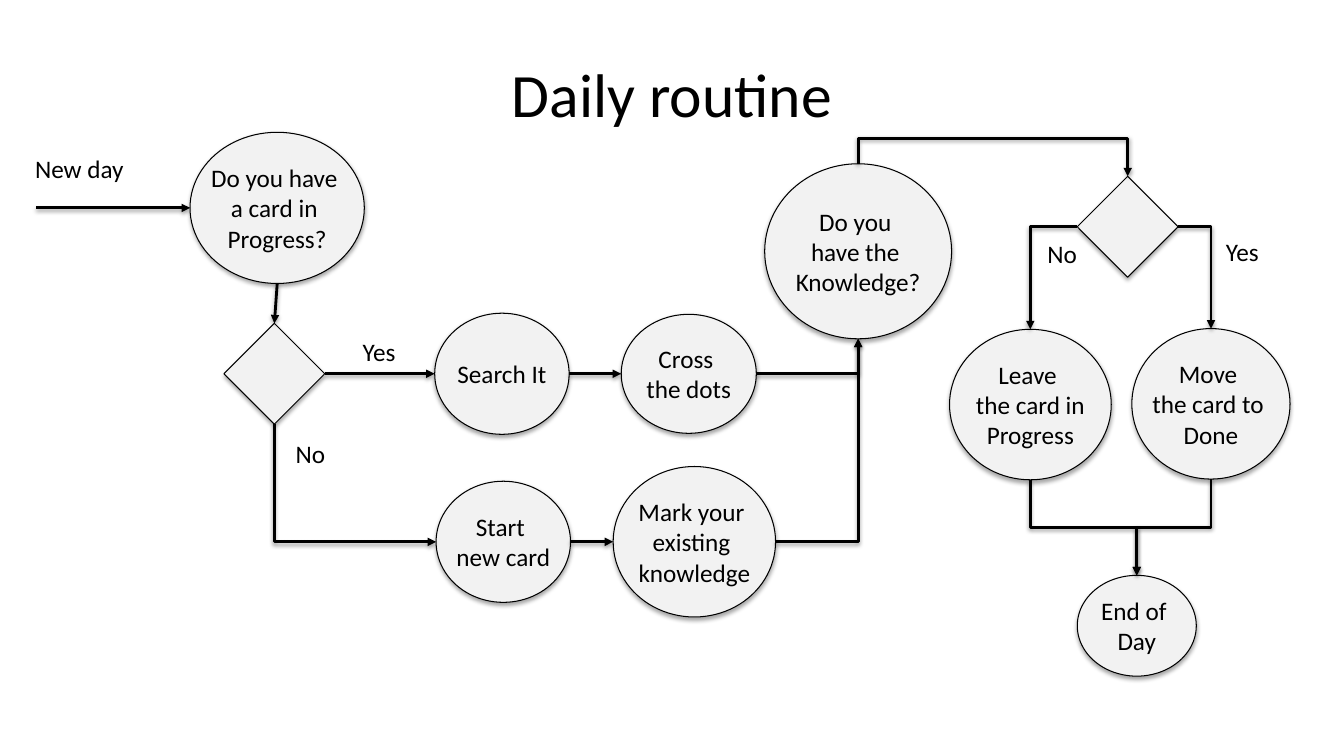
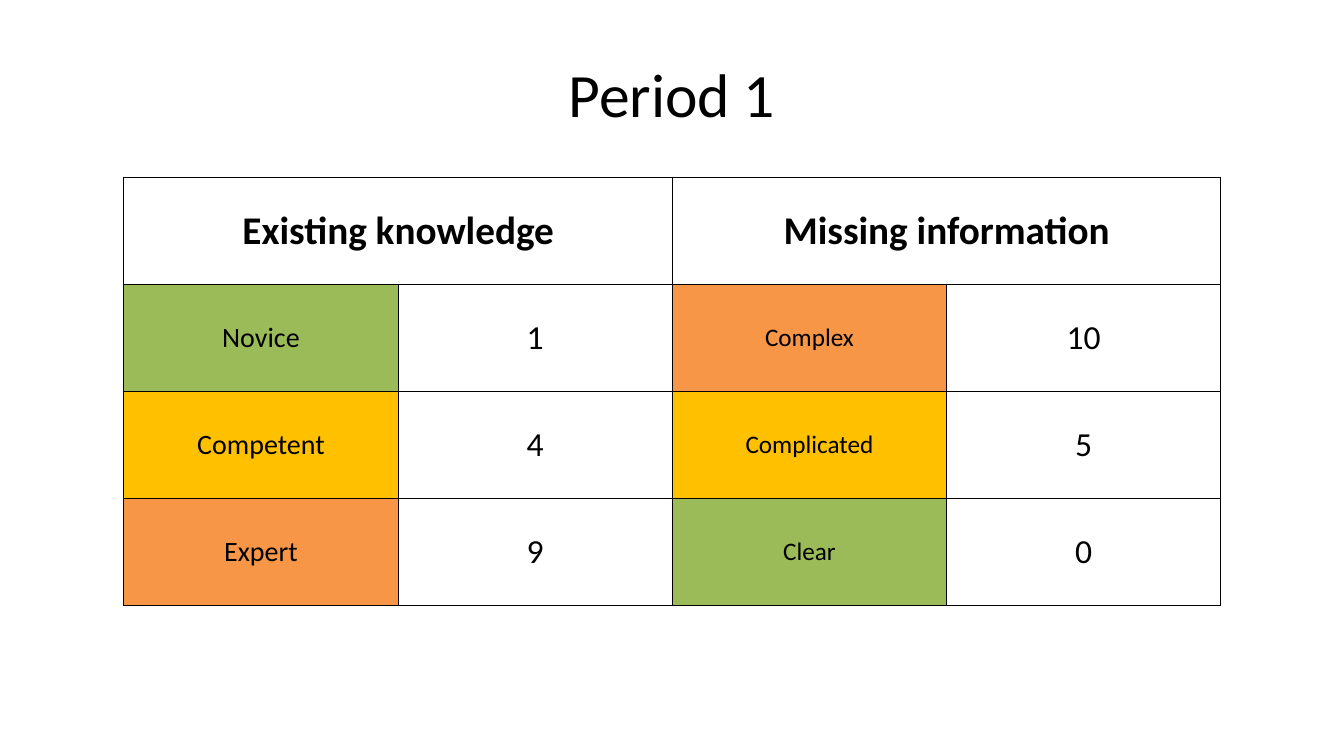
from dataclasses import dataclass

from lxml import etree
from pptx import Presentation
from pptx.dml.color import RGBColor
from pptx.enum.shapes import MSO_CONNECTOR, MSO_SHAPE
from pptx.enum.text import MSO_ANCHOR, MSO_AUTO_SIZE, PP_ALIGN
from pptx.oxml.ns import qn
from pptx.util import Pt

ELLIPSE, DIAMOND = MSO_SHAPE.OVAL, MSO_SHAPE.DIAMOND
STRAIGHT, ELBOW = MSO_CONNECTOR.STRAIGHT, MSO_CONNECTOR.ELBOW
LEFT, CENTER = PP_ALIGN.LEFT, PP_ALIGN.CENTER
MIDDLE = MSO_ANCHOR.MIDDLE
FIT_SHAPE = MSO_AUTO_SIZE.SHAPE_TO_FIT_TEXT
TITLE_ONLY = 5


@dataclass(frozen=True)
class Theme:
    font: str = "Calibri"
    ink: str = "000000"
    node: str = "F2F2F2"
    green: str = "9BBB59"
    amber: str = "FFC000"
    orange: str = "F79646"
    title: int = 44
    header: int = 28
    value: int = 24
    level: int = 20
    body: int = 18
    outline: float = 0.75
    arrow: float = 2
    border: float = 1


THEME = Theme()

# Flowchart nodes: key -> shape, centre x, centre y, width, height, text
TOP_ROW, BOTTOM_ROW = 267, 387
NODES = {
    "has card": (ELLIPSE, 198, 148.5, 124.5, 108,
                 "Do you have \na card in \nProgress?"),
    "card choice": (DIAMOND, 196, TOP_ROW, 72, 72, ""),
    "search": (ELLIPSE, 358.5, TOP_ROW, 96, 86.5, "Search It"),
    "cross": (ELLIPSE, 492, TOP_ROW, 96.5, 85, "Cross \nthe dots"),
    "new card": (ELLIPSE, 359.5, BOTTOM_ROW, 96, 86.5, "Start \nnew card"),
    "mark": (ELLIPSE, 496, BOTTOM_ROW, 116, 107.5,
             "Mark your \vexisting \vknowledge"),
    "knowledge": (ELLIPSE, 613, 179.5, 133.5, 125,
                  "Do you \nhave the \nKnowledge?"),
    "know choice": (DIAMOND, 805.5, 162, 72, 72, ""),
    "leave": (ELLIPSE, 736, 289, 115.5, 107.5,
              "Leave \nthe card in\nProgress"),
    "move": (ELLIPSE, 865, 288.5, 113, 107.5, "Move \nthe card to \nDone"),
    "end": (ELLIPSE, 812, 447, 85, 72, "End of \nDay"),
}

# Arrows: from node, side, to node, side
ARROWS = [
    ("has card", "bottom", "card choice", "top"),
    ("card choice", "right", "search", "left"),
    ("card choice", "bottom", "new card", "left"),
    ("search", "right", "cross", "left"),
    ("new card", "right", "mark", "left"),
    ("cross", "right", "knowledge", "bottom"),
    ("mark", "right", "knowledge", "bottom"),
    ("knowledge", "top", "know choice", "top"),
    ("know choice", "left", "leave", "top"),
    ("know choice", "right", "move", "top"),
    ("leave", "bottom", "end", "top"),
    ("move", "bottom", "end", "top"),
]
DETOUR = 18  # rise of an arrow that leaves from a top side

# Labels: text, left, top, width
LABELS = [
    ("New day", 18, 106, 83),
    ("Yes", 252, 237, 48),
    ("No", 204, 309.5, 48),
    ("No", 741, 167, 48),
    ("Yes", 868.5, 165.5, 48),
]

# Table rows: knowledge level, count, information kind, count
HEADERS = ["Existing knowledge", "Missing information"]
ROWS = [
    ("Novice", "1", "Complex", "10"),
    ("Competent", "4", "Complicated", "5"),
    ("Expert", "9", "Clear", "0"),
]
LEVEL_FILLS = [THEME.green, THEME.amber, THEME.orange]


def rgb(value):
    return RGBColor.from_string(value)


def write(tf, text, size=THEME.body, color=THEME.ink, bold=False, align=LEFT):
    """Fill a text frame: \\n starts a paragraph, \\v breaks a line."""
    for i, line in enumerate(text.split("\n")):
        p = tf.add_paragraph() if i else tf.paragraphs[0]
        p.text = line
        p.alignment = align
        for r in p.runs:
            r.font.name = THEME.font
            r.font.size = Pt(size)
            r.font.bold = bold
            r.font.color.rgb = rgb(color)


def add_xml(parent, tag, **attrs):
    return etree.SubElement(parent, qn(tag), {k: str(v) for k, v in attrs.items()})


def add_shadow(effects, distance, alpha):
    shadow = add_xml(effects, "a:outerShdw", blurRad=Pt(3.1), dist=Pt(distance),
                     dir=5400000, rotWithShape=0)
    color = add_xml(shadow, "a:srgbClr", val=THEME.ink)
    add_xml(color, "a:alpha", val=alpha * 1000)


def add_title_slide(prs, title):
    s = prs.slides.add_slide(prs.slide_layouts[TITLE_ONLY])
    sp = s.shapes.title
    sp.left, sp.top, sp.width, sp.height = Pt(48), Pt(21.5), Pt(864), Pt(90)
    sp.text_frame.vertical_anchor = MIDDLE
    write(sp.text_frame, title, size=THEME.title, align=CENTER)
    return s


def add_node(s, kind, x, y, w, h, text):
    sp = s.shapes.add_shape(kind, Pt(x - w / 2), Pt(y - h / 2), Pt(w), Pt(h))
    sp.fill.solid()
    sp.fill.fore_color.rgb = rgb(THEME.node)
    sp.line.color.rgb = rgb(THEME.ink)
    sp.line.width = Pt(THEME.outline)
    sp.shadow.inherit = False
    add_shadow(sp._element.spPr.find(qn("a:effectLst")), 1.8, 35)
    if text:
        tf = sp.text_frame
        tf.word_wrap = False
        tf.vertical_anchor = MIDDLE
        write(tf, text, align=CENTER)
    return sp


def add_label(s, text, x, y, w):
    tf = s.shapes.add_textbox(Pt(x), Pt(y), Pt(w), Pt(29)).text_frame
    tf.word_wrap = True
    tf.auto_size = FIT_SHAPE
    write(tf, text)


def add_arrow(s, kind, x1, y1, x2, y2):
    c = s.shapes.add_connector(kind, Pt(x1), Pt(y1), Pt(x2), Pt(y2))
    c.line.color.rgb = rgb(THEME.ink)
    c.line.width = Pt(THEME.arrow)
    add_xml(c.line._get_or_add_ln(), "a:tailEnd", type="triangle")
    add_shadow(add_xml(c._element.spPr, "a:effectLst"), 1.6, 38)
    return c


def side_point(node, side):
    _, x, y, w, h, _ = NODES[node]
    dx, dy = {"top": (0, -1), "left": (-1, 0),
              "bottom": (0, 1), "right": (1, 0)}[side]
    return x + dx * w / 2, y + dy * h / 2


def glue(c, end, sp, node, side):
    """Tie a connector end to a side; an ellipse has eight sites, a diamond four."""
    site = ["top", "left", "bottom", "right"].index(side)
    step = 2 if NODES[node][0] == ELLIPSE else 1
    add_xml(c._element.nvCxnSpPr.cNvCxnSpPr, end, id=sp.shape_id, idx=site * step)


def link_nodes(s, shapes, start, out, finish, into):
    x1, y1 = side_point(start, out)
    x2, y2 = side_point(finish, into)
    dx, dy = x2 - x1, y2 - y1
    upright = out in ("top", "bottom")
    if upright and abs(dx) < 5:
        c = add_arrow(s, STRAIGHT, x1, y1, x2, y2)
    elif upright:
        # An elbow that starts vertically is a level one turned by 90 degrees
        cx, cy = (x1 + x2) / 2, (y1 + y2) / 2
        c = add_arrow(s, ELBOW, cx - dy / 2, cy + dx / 2, cx + dy / 2, cy - dx / 2)
        c._element.spPr.find(qn("a:xfrm")).set("rot", "5400000")
    else:
        c = add_arrow(s, ELBOW, x1, y1, x2, y2)
    geometry = c._element.spPr.find(qn("a:prstGeom"))
    if upright != (into in ("top", "bottom")):
        geometry.set("prst", "bentConnector2")
    if out == "top":
        add_xml(geometry.find(qn("a:avLst")), "a:gd", name="adj1",
                fmla=f"val {round(-DETOUR / dy * 100000)}")
    glue(c, "a:stCxn", shapes[start], start, out)
    glue(c, "a:endCxn", shapes[finish], finish, into)


def set_cell(cell, text, fill=None, tight=False, **fmt):
    cell.vertical_anchor = MIDDLE
    if tight:
        cell.margin_left = cell.margin_right = cell.margin_top = Pt(0.7)
        cell.margin_bottom = 0
    write(cell.text_frame, text, align=CENTER, **fmt)
    tc_pr = cell._tc.get_or_add_tcPr()
    for edge in ("a:lnL", "a:lnR", "a:lnT", "a:lnB"):
        ln = add_xml(tc_pr, edge, w=Pt(THEME.border))
        add_xml(add_xml(ln, "a:solidFill"), "a:srgbClr", val=THEME.ink)
    if fill:
        cell.fill.solid()
        cell.fill.fore_color.rgb = rgb(fill)
    else:
        cell.fill.background()


def build_routine(prs):
    s = add_title_slide(prs, "Daily routine")
    shapes = {key: add_node(s, *node) for key, node in NODES.items()}
    for arrow in ARROWS:
        link_nodes(s, shapes, *arrow)
    # Entry arrow
    c = add_arrow(s, STRAIGHT, 26, 148.5, *side_point("has card", "left"))
    glue(c, "a:endCxn", shapes["has card"], "has card", "left")
    for label in LABELS:
        add_label(s, *label)


def build_period(prs):
    s = add_title_slide(prs, "Period 1")
    table = s.shapes.add_table(len(ROWS) + 1, 4, Pt(88.5), Pt(126.5),
                               Pt(783.5), Pt(306)).table
    table.first_row = table.horz_banding = False
    # Header row: each heading spans two columns
    for col in range(4):
        text = HEADERS[col // 2] if col % 2 == 0 else ""
        set_cell(table.cell(0, col), text, size=THEME.header, bold=True)
    for col in (0, 2):
        table.cell(0, col).merge(table.cell(0, col + 1))
    # Body rows: the two colour scales run in opposite directions
    sizes = [THEME.level, THEME.value, THEME.body, THEME.value]
    for i, row in enumerate(ROWS):
        fills = [LEVEL_FILLS[i], None, LEVEL_FILLS[-1 - i], None]
        for col, text in enumerate(row):
            set_cell(table.cell(i + 1, col), text, fill=fills[col],
                     tight=col != 2, size=sizes[col])


def main():
    prs = Presentation()
    prs.slide_width, prs.slide_height = Pt(960), Pt(540)
    build_routine(prs)
    build_period(prs)
    prs.save("out.pptx")


if __name__ == "__main__":
    main()
